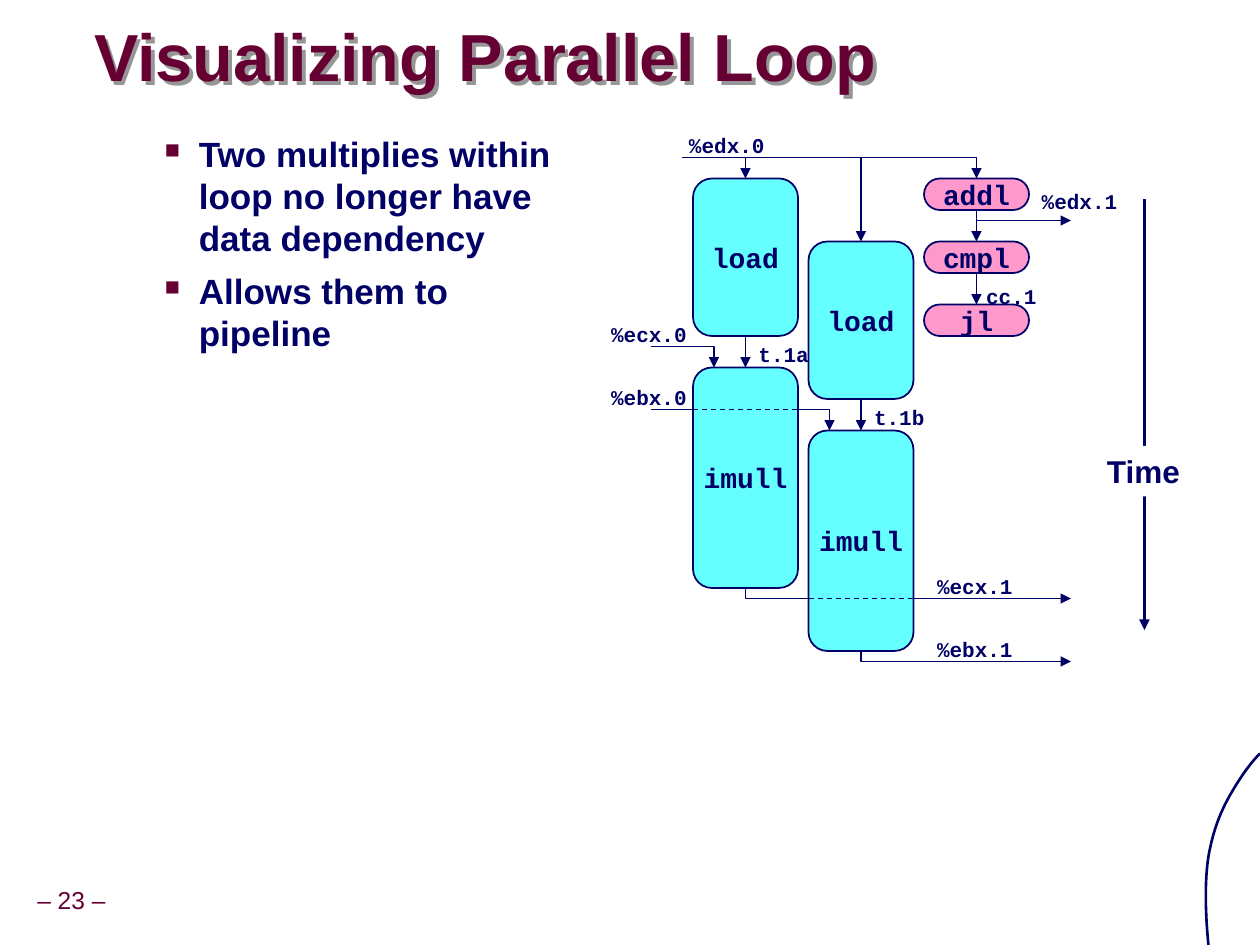
"""Builds the slide on visualizing a parallel loop as a pipeline diagram."""
from lxml import etree
from pptx import Presentation
from pptx import util as u
from pptx.dml.color import RGBColor
from pptx.enum import dml, shapes, text
from pptx.oxml.ns import qn

NAVY, WINE, CYAN, PINK, WHITE, GREY = "000066", "660033", "66FFFF", "FF99CC", "FFFFFF", "969696"
STEP = 2.54 / 12

TITLE = "Visualizing Parallel Loop"
BULLETS = ["Two multiplies within loop no longer have data dependency", "Allows them to pipeline"]
LABELS = [
    ("%edx.0", 13.64, 2.54), ("%edx.1", 20.75, 3.68), ("%ecx.0", 12.07, 6.35),
    ("%ebx.0", 12.07, 7.62), ("cc.1", 19.63, 5.59), ("t.1a", 15.04, 6.76),
    ("t.1b", 17.37, 8.03), ("%ecx.1", 18.64, 11.43), ("%ebx.1", 18.64, 12.7),
]
# name: text, column, row, height, fill, corner (grid steps)
UNITS = {
    "load a": ("load", 66, 17, 15, CYAN, 0.18),
    "load b": ("load", 77, 23, 15, CYAN, 0.18),
    "imull a": ("imull", 66, 35, 21, CYAN, 0.18),
    "imull b": ("imull", 77, 41, 21, CYAN, 0.18),
    "addl": ("addl", 88, 17, 3, PINK, 0.5),
    "cmpl": ("cmpl", 88, 23, 3, PINK, 0.5),
    "jl": ("jl", 88, 29, 3, PINK, 0.5),
}
UNIT_WIDTH = 10
FLOWS = [("load a", "imull a"), ("load b", "imull b"), ("addl", "cmpl"), ("cmpl", "jl")]
INPUTS = [("load a", 15), ("load b", 15)]
STRAIGHTS = [
    ((62, 39), (66, 39), False, False), ((66, 39), (76, 39), False, True),
    ((77, 57), (87, 57), False, True), ((87, 57), (102, 57), True, False),
    ((93, 21), (102, 21), True, False),
]
BENDS = [
    ([(65, 15), (93, 15), (93, 17)], True), ([(62, 33), (68, 33), (68, 35)], True),
    ([(76, 39), (79, 39), (79, 41)], True), ([(71, 56), (71, 57), (77, 57)], False),
    ([(82, 62), (82, 63), (102, 63)], True),
]
ARC = [
    [(25.4, 15.19), (25.15, 15.44), (24.92, 15.8), (24.74, 16.13)],
    [(24.74, 16.13), (24.54, 16.51), (24.43, 16.87), (24.36, 17.27)],
    [(24.36, 17.27), (24.28, 17.78), (24.3, 18.44), (24.36, 19.05)],
]


def paint(target, color):
    target.solid()
    target.fore_color.rgb = RGBColor.from_string(color)


def style(para, font, size, color, bold=True):
    para.font.name, para.font.size, para.font.bold = font, u.Pt(size), bold
    para.font.color.rgb = RGBColor.from_string(color)


def write(shape, words, font, size, color=NAVY, align=text.PP_ALIGN.CENTER, bold=True):
    frame = shape.text_frame
    frame.word_wrap = False
    para = frame.paragraphs[0]
    para.text, para.alignment = words, align
    style(para, font, size, color, bold)


def stroke(line, width, arrow=False, dashed=False):
    paint(line.fill, NAVY)
    line.width = u.Pt(width)
    if dashed:
        line.dash_style = dml.MSO_LINE.DASH
    if arrow:
        etree.SubElement(line._get_or_add_ln(), qn("a:tailEnd"), type="triangle")


def connect(page, start, end, width=0.75, arrow=False, dashed=False):
    link = page.shapes.add_connector(shapes.MSO_CONNECTOR.STRAIGHT, *map(u.Cm, start + end))
    stroke(link.line, width, arrow, dashed)
    etree.SubElement(link._element.spPr, qn("a:effectLst"))
    return link


def trace(page, points, width=0.75, arrow=False):
    places = [(u.Cm(x), u.Cm(y)) for x, y in points]
    builder = page.shapes.build_freeform(*places[0])
    builder.add_line_segments(places[1:], close=False)
    shape = builder.convert_to_shape()
    shape.shadow.inherit = False
    shape.fill.background()
    stroke(shape.line, width, arrow)


def grid(point):
    return tuple(STEP * value for value in point)


def curve(nodes, steps=12):
    for i in range(steps + 1):
        t = i / steps
        weights = ((1 - t) ** 3, 3 * t * (1 - t) ** 2, 3 * t * t * (1 - t), t ** 3)
        yield tuple(sum(w * node[axis] for w, node in zip(weights, nodes)) for axis in (0, 1))


def textbox(page, *place):
    return page.shapes.add_textbox(*map(u.Cm, place))


def add_title(page):
    title = page.shapes.title
    title.left, title.top, title.width, title.height = map(u.Cm, (1.9, 0.43, 18.44, 1.6))
    write(title, TITLE, "Arial", 38, WINE, text.PP_ALIGN.LEFT)
    frame = title.text_frame
    frame.margin_left = frame.margin_right = frame.margin_top = frame.margin_bottom = 0
    frame.vertical_anchor = text.MSO_ANCHOR.MIDDLE
    frame.paragraphs[0].line_spacing = 0.87
    title.fill.background()
    effects = etree.SubElement(title._element.spPr, qn("a:effectLst"))
    shadow = etree.SubElement(effects, qn("a:outerShdw"), dist="38100", dir="2700000")
    etree.SubElement(shadow, qn("a:srgbClr"), val=GREY)


def add_bullets(page):
    frame = textbox(page, 1.7, 2.54, 10.16, 7.01).text_frame
    frame.word_wrap = True
    for i, words in enumerate(BULLETS):
        para = frame.add_paragraph() if i else frame.paragraphs[0]
        para.text = words
        if i:
            para.space_before = u.Pt(6.2)
        props = para._p.get_or_add_pPr()
        props.set("marL", str(u.Cm(2.06)))
        props.set("indent", str(u.Cm(-0.69)))
        color = etree.SubElement(props, qn("a:buClr"))
        etree.SubElement(color, qn("a:srgbClr"), val=WINE)
        etree.SubElement(props, qn("a:buSzPct"), val="60000")
        etree.SubElement(props, qn("a:buChar"), char="■")
        style(para, "Arial", 20, NAVY)


def add_diagram(page):
    for words, left, top in LABELS:
        label = textbox(page, left, top, 0.254 * len(words) + 0.51, 0.76)
        write(label, words, "Courier New", 12, align=text.PP_ALIGN.LEFT)
    boxes = {}
    for name, (words, column, row, height, color, corner) in UNITS.items():
        place = map(u.Cm, grid((column, row, UNIT_WIDTH, height)))
        box = page.shapes.add_shape(shapes.MSO_SHAPE.ROUNDED_RECTANGLE, *place)
        box.adjustments[0] = corner
        box.shadow.inherit = False
        paint(box.fill, color)
        stroke(box.line, 1)
        write(box, words, "Courier New", 16)
        boxes[name] = box
    for source, target in FLOWS:
        _, column, row, height, *_ = UNITS[source]
        middle = column + UNIT_WIDTH / 2
        link = connect(page, grid((middle, row + height)), grid((middle, UNITS[target][2])), arrow=True)
        link.begin_connect(boxes[source], 2)
        link.end_connect(boxes[target], 0)
    for target, start in INPUTS:
        middle = UNITS[target][1] + UNIT_WIDTH / 2
        link = connect(page, grid((middle, start)), grid((middle, UNITS[target][2])), arrow=True)
        link.end_connect(boxes[target], 0)
    for start, end, arrow, dashed in STRAIGHTS:
        connect(page, grid(start), grid(end), arrow=arrow, dashed=dashed)
    for points, arrow in BENDS:
        trace(page, [grid(point) for point in points], arrow=arrow)


def add_time_axis(page):
    connect(page, (23.07, 4.02), (23.07, 12.7), 2, arrow=True)
    box = page.shapes.add_shape(shapes.MSO_SHAPE.RECTANGLE, *map(u.Cm, (21.97, 8.99, 2.16, 1.02)))
    box.shadow.inherit = False
    paint(box.fill, WHITE)
    box.line.fill.background()
    write(box, "Time", "Arial", 18)


def main():
    deck = Presentation()
    deck.slide_width, deck.slide_height = u.Cm(25.4), u.Cm(19.05)
    page = deck.slides.add_slide(deck.slide_layouts[5])
    add_title(page)
    add_bullets(page)
    add_time_axis(page)
    add_diagram(page)
    trace(page, [point for nodes in ARC for point in curve(nodes)], 1.5)
    write(textbox(page, 0.1, 17.72, 2.68, 0.79), "– 23 –", "Arial", 14, WINE, bold=False)
    deck.save("out.pptx")


if __name__ == "__main__":
    main()
